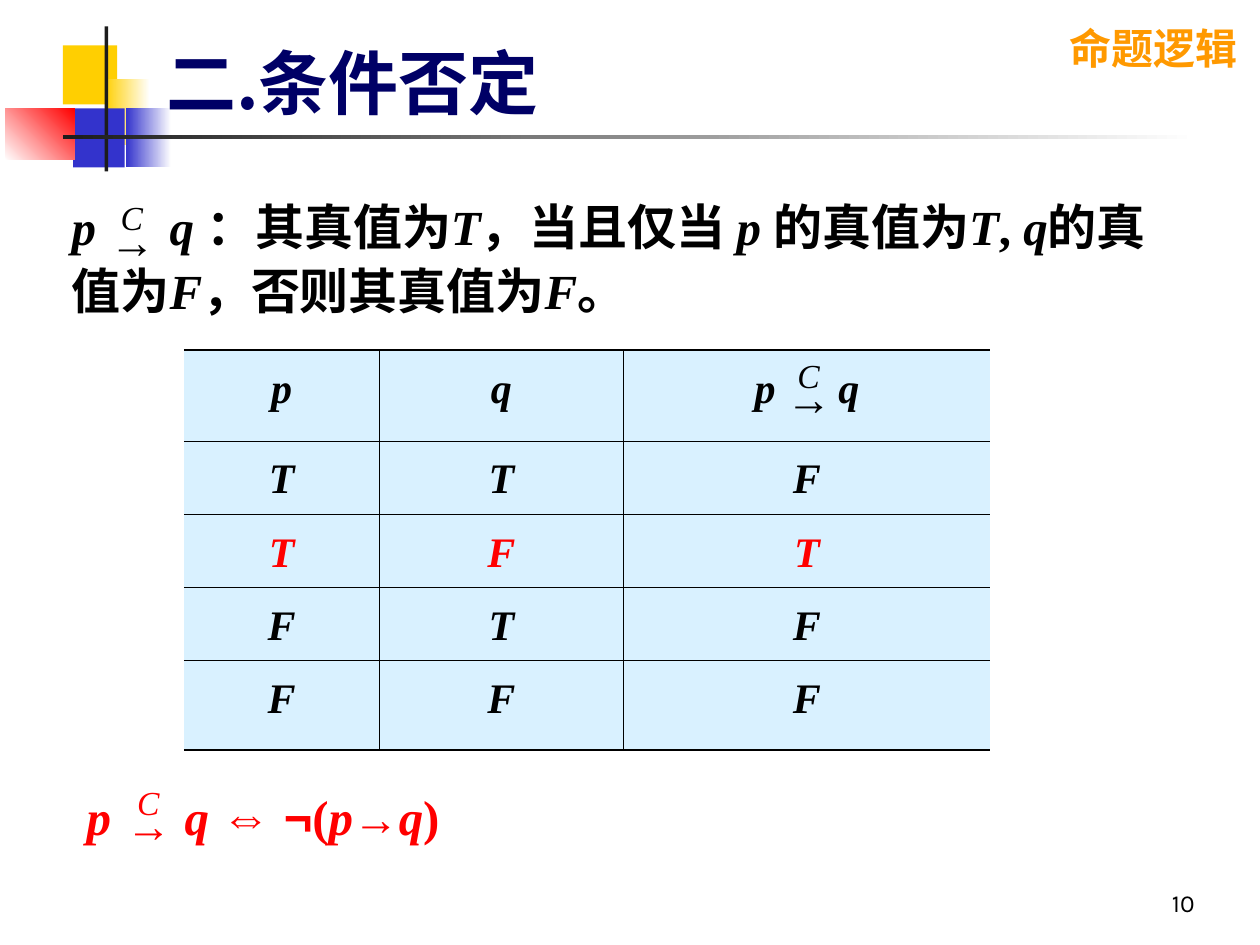
from lxml import etree
from pptx import Presentation
from pptx.dml.color import RGBColor
from pptx.enum import shapes as kinds, text as txt
from pptx.oxml import ns
from pptx.util import Inches, Pt

COLORS = {
    "yellow": "FFCF01", "blue": "3333CC", "red": "FF0000", "white": "FFFFFF",
    "charcoal": "1C1C1C", "navy": "000066", "orange": "FF9900",
    "black": "000000", "pale": "D9F1FF",
}
SERIF, CJK, SANS = "Times New Roman", "Noto Sans CJK SC", "Karla"

# left, top, width, height, fill colours (two for a gradient), angle
ORNAMENTS = [
    (0.5, 0.36, 0.43, 0.47, ["yellow"], 0),
    (0.83, 0.63, 0.36, 0.52, ["yellow", "white"], 0),
    (0.58, 0.86, 0.41, 0.47, ["blue"], 0),
    (1, 0.86, 0.36, 0.47, ["blue", "white"], 0),
    (0.04, 0.86, 0.55, 0.41, ["white", "red"], 45),
    (0.83, 0.21, 0.03, 1.15, ["charcoal"], 0),
    (0.5, 1.07, 9, 0.03, ["charcoal", "white"], 0),
]

ROMAN = {"italic": False}
ITALIC = {"italic": True}
HAN = {"italic": False, "ea": CJK}


def operands(size):
    """Runs for p and q, one widened space apart to hold the operator."""
    return [("p", ITALIC), (" ", {"spc": size * 125}), ("q", ITALIC)]


DEFINITION = operands(28) + [
    (" ", ITALIC), ("：其真值为", HAN), ("T", ITALIC), ("，当且仅当 ", HAN),
    ("p ", ITALIC), ("的真值为", HAN), ("T", ITALIC), (", ", ROMAN),
    ("q", ITALIC), ("的真值为", HAN), ("F", ITALIC),
    ("，否则其真值为", HAN), ("F", ITALIC), ("。", HAN),
]
EQUIVALENCE = operands(28) + [
    (" ", ITALIC), ("⇔ ¬", {"name": "Arial"}), ("(", ROMAN), ("p", ITALIC),
    ("→", {"size": 26}), ("q", ITALIC), (")", ROMAN),
]

TRUTH_HEAD = [[("p", ITALIC)], [("q", ITALIC)], operands(24)]
TRUTH_VALUES = ["TTF", "TFT", "FTF", "FFF"]
TRUE_ROW = 2
COLUMN_WIDTHS = [1.55, 1.94, 2.91]
ROW_HEIGHTS = [0.72, 0.58, 0.58, 0.58, 0.71]

# left, top, colour of each "c over arrow" operator
OPERATORS = [(0.54, 1.45, "black"), (5.91, 2.7, "black"), (0.67, 6.09, "red")]


def rgb(name):
    return RGBColor.from_string(COLORS[name])


def write(frame, runs, base, **paragraph_format):
    paragraph = frame.paragraphs[0]
    for key, value in paragraph_format.items():
        setattr(paragraph, key, value)
    for words, changes in runs:
        run = paragraph.add_run()
        run.text = words
        props = run.font._element
        for key, value in {**base, **changes}.items():
            if key == "color":
                run.font.color.rgb = rgb(value)
            elif key == "size":
                run.font.size = Pt(value)
            elif key in ("spc", "cap"):
                props.set(key, str(value))
            elif key != "ea":
                setattr(run.font, key, value)
        if "ea" in {**base, **changes}:
            east = etree.SubElement(props, ns.qn("a:ea"))
            east.set("typeface", {**base, **changes}["ea"])


def add_text(parent, box, runs, base, anchor="TOP", wrap=True, **paragraph_format):
    frame = parent.add_textbox(*map(Inches, box)).text_frame
    frame.word_wrap = wrap
    frame.vertical_anchor = txt.MSO_ANCHOR[anchor]
    write(frame, runs, base, **paragraph_format)


def add_ornament(parent, box, fills, angle):
    block = parent.add_shape(kinds.MSO_SHAPE.RECTANGLE, *map(Inches, box))
    block.shadow.inherit = False
    block.line.fill.background()
    if len(fills) == 1:
        block.fill.solid()
        block.fill.fore_color.rgb = rgb(fills[0])
        return
    block.fill.gradient()
    block.fill.gradient_angle = angle
    for stop, name in zip(block.fill.gradient_stops, fills):
        stop.color.rgb = rgb(name)


def add_operator(parent, left, top, color):
    group = parent.add_group_shape().shapes
    base = {"name": SERIF, "color": color}
    center = txt.PP_ALIGN.CENTER
    add_text(group, (left, top + 0.19, 1.02, 0.54),
             [("→", {"size": 26, "bold": True})], base, alignment=center)
    add_text(group, (left + 0.32, top, 0.32, 0.5),
             [("c", {"size": 24, "italic": True, "cap": "small"})], base,
             alignment=center)


def set_border(cell, side, points):
    """Draw one cell side; zero points leaves it without a line."""
    line = etree.SubElement(cell._tc.get_or_add_tcPr(), ns.qn(f"a:ln{side}"))
    line.set("w", str(Pt(points)))
    if not points:
        etree.SubElement(line, ns.qn("a:noFill"))
        return
    fill = etree.SubElement(line, ns.qn("a:solidFill"))
    etree.SubElement(fill, ns.qn("a:srgbClr")).set("val", COLORS["black"])


def add_truth_table(parent):
    rows = TRUTH_HEAD, *[[[(value, ITALIC)] for value in row] for row in TRUTH_VALUES]
    last_row, last_column = len(ROW_HEIGHTS) - 1, len(COLUMN_WIDTHS) - 1
    table = parent.add_table(
        len(ROW_HEIGHTS), len(COLUMN_WIDTHS), Inches(1.46), Inches(2.78),
        Inches(sum(COLUMN_WIDTHS)), Inches(sum(ROW_HEIGHTS))).table
    table.first_row = table.horz_banding = False
    for column, width in zip(table.columns, COLUMN_WIDTHS):
        column.width = Inches(width)
    for r, row in enumerate(rows):
        table.rows[r].height = Inches(ROW_HEIGHTS[r])
        base = {"name": SERIF, "size": 24, "bold": True,
                "color": "red" if r == TRUE_ROW else "black"}
        for c, runs in enumerate(row):
            cell = table.cell(r, c)
            write(cell.text_frame, runs, base, alignment=txt.PP_ALIGN.CENTER,
                  line_spacing=1.2, space_before=Pt(6))
            borders = {"L": 0.45 if c else 0,
                       "R": 0.45 if c < last_column else 0,
                       "T": 0.45 if r else 1.08,
                       "B": 0.45 if r < last_row else 1.08}
            for side, points in borders.items():
                set_border(cell, side, points)
            cell.fill.solid()
            cell.fill.fore_color.rgb = rgb("pale")


def main():
    deck = Presentation()
    deck.slide_width, deck.slide_height = Inches(10), Inches(7.5)
    parts = deck.slides.add_slide(deck.slide_layouts[6]).shapes

    for *box, fills, angle in ORNAMENTS:
        add_ornament(parts, box, fills, angle)
    add_text(parts, (8.39, 0.13, 1.53, 0.5), [("命题逻辑", {})],
             {"name": SANS, "ea": CJK, "size": 24, "bold": True, "color": "orange"},
             wrap=False)
    add_text(parts, (1.22, 0.21, 8.27, 0.82), [("二.条件否定", {})],
             {"name": CJK, "ea": CJK, "size": 40, "bold": True, "color": "navy"},
             anchor="BOTTOM")
    formula = {"name": SERIF, "size": 28, "bold": True}
    add_text(parts, (0.47, 1.46, 8.89, 1.18), DEFINITION,
             {**formula, "color": "black"}, line_spacing=1.1, space_before=Pt(7))
    add_truth_table(parts)
    add_text(parts, (0.59, 6.19, 3.7, 0.57), EQUIVALENCE,
             {**formula, "color": "red"})
    for operator in OPERATORS:
        add_operator(parts, *operator)
    add_text(parts, (7.5, 6.83, 2.08, 0.5), [("10", {})],
             {"name": SANS, "size": 14, "color": "black"},
             anchor="BOTTOM", alignment=txt.PP_ALIGN.RIGHT)
    deck.save("out.pptx")


if __name__ == "__main__":
    main()
